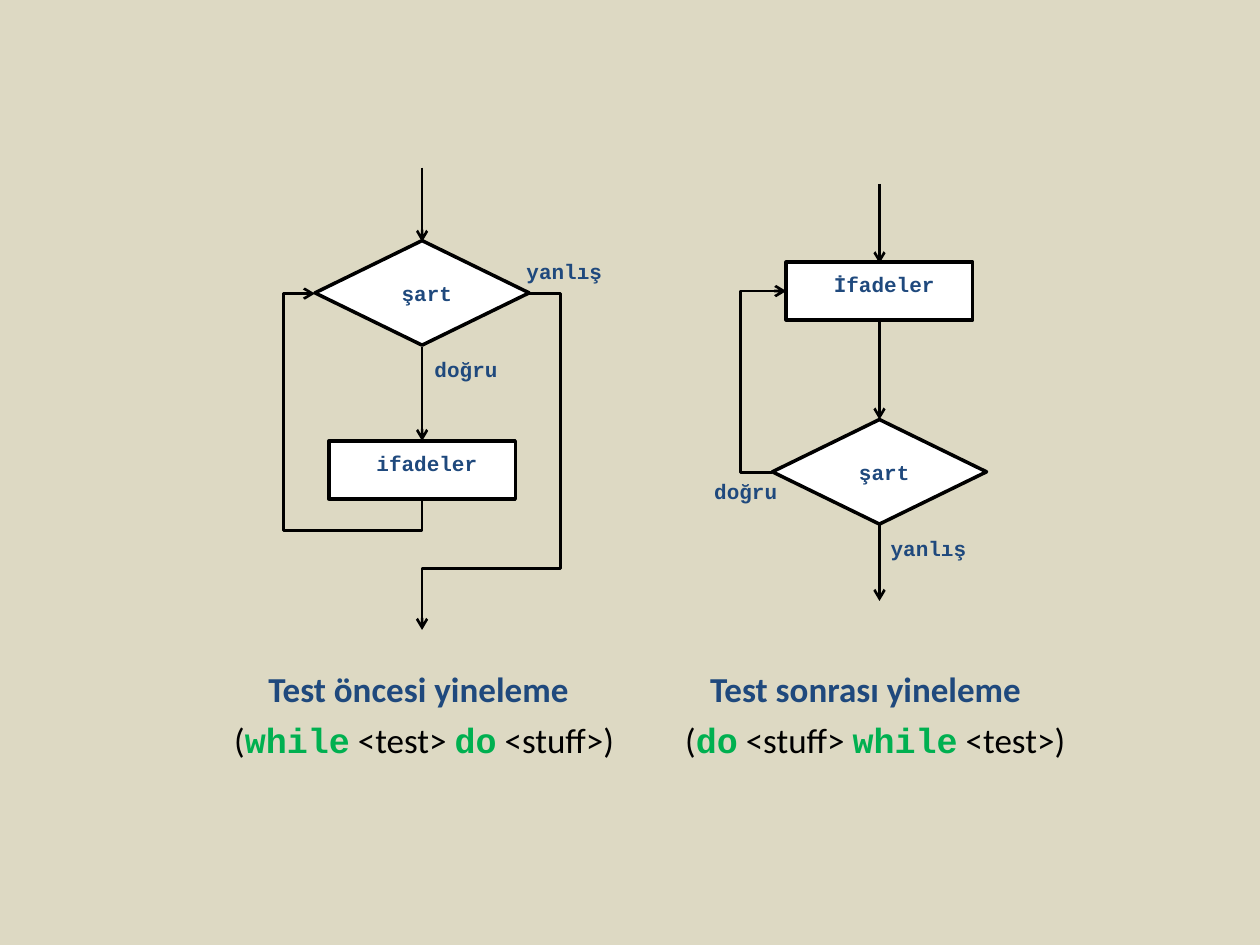
import pptx
import pptx.dml.color
import pptx.enum.shapes
import pptx.enum.text
import pptx.oxml
import pptx.oxml.ns
import pptx.util

Inches = pptx.util.Inches
Shape = pptx.enum.shapes.MSO_SHAPE
Connector = pptx.enum.shapes.MSO_CONNECTOR
Align = pptx.enum.text.PP_ALIGN

THEME = {
    "background": "DDD9C3", "box": "FFFFFF", "ink": "000000",
    "border": 2, "arrow": 1.5,
    "gap": {"name": "Courier New", "size": 9, "bold": True, "color": "1F497D"},
    "label": {"name": "Courier New", "size": 12, "bold": True, "color": "1F497D"},
    "heading": {"name": "Calibri", "size": 20, "bold": True, "color": "1F497D"},
    "plain": {"name": "Calibri", "size": 20, "bold": False, "color": "000000"},
    "keyword": {"name": "Courier New", "size": 20, "bold": True, "color": "00B050"},
}


def rgb(value):
    return pptx.dml.color.RGBColor.from_string(value)


def add_text(shapes, place, runs, align):
    """Add a one-line text box made of (text, theme style) runs."""
    frame = shapes.add_textbox(*map(Inches, place)).text_frame
    frame.word_wrap = True
    frame.auto_size = pptx.enum.text.MSO_AUTO_SIZE.SHAPE_TO_FIT_TEXT
    line = frame.paragraphs[0]
    line.alignment = align
    for text, style in runs:
        run = line.add_run()
        run.text = text
        formats = dict(THEME[style])
        run.font.color.rgb = rgb(formats.pop("color"))
        formats["size"] = pptx.util.Pt(formats["size"])
        for attribute, value in formats.items():
            setattr(run.font, attribute, value)


# Flowcharts: elbows give begin, end, rotation, preset and bend positions
flowcharts = [
    {
        "arrows": [(3.35, 1.33, 3.35, 1.92), (3.35, 2.75, 3.35, 3.5)],
        "elbows": [
            ((3.74, 2.72, 2.11, 3.57), 90, "bentConnector4", (-0.154, 1.294)),
            ((4.2, 2.33, 3.35, 5), 0, "bentConnector4", (-0.294, 0.817)),
        ],
        "statement": (2.61, 3.5, "ifadeler"),
        "condition": (2.5, 1.91),
        "branches": [(3.25, 2.78, 0.89, " doğru"), (4.08, 2, 0.84, "yanlış")],
    },
    {
        "arrows": [(6.98, 1.46, 6.98, 2.09), (6.98, 2.54, 6.98, 3.33),
                   (6.98, 4.17, 6.98, 4.77)],
        "elbows": [
            ((6.24, 2.31, 6.13, 3.75), 180, "bentConnector3", (-2.311,)),
        ],
        "statement": (6.24, 2.08, "İfadeler"),
        "condition": (6.13, 3.33),
        "branches": [(5.47, 3.75, 0.86, " doğru"), (6.97, 4.2, 0.92, "yanlış")],
    },
]

# Captions: left edges of heading and syntax line, then their runs
captions = [
    (1.75, " Test öncesi yineleme", 1.5,
     [("while", "keyword"), (" <test> ", "plain"),
      ("do", "keyword"), (" <stuff>)", "plain")]),
    (5.33, "Test sonrası yineleme", 5.08,
     [("do", "keyword"), (" <stuff> ", "plain"),
      ("while", "keyword"), (" <test>)", "plain")]),
]

deck = pptx.Presentation()
deck.slide_width, deck.slide_height = Inches(10), Inches(7.5)
slide = deck.slides.add_slide(deck.slide_layouts[6])
slide.background.fill.solid()
slide.background.fill.fore_color.rgb = rgb(THEME["background"])

for chart in flowcharts:
    shapes = slide.shapes.add_group_shape().shapes

    # Arrows, straight and bent
    straight = [(ends, 0, "line", ()) for ends in chart["arrows"]]
    for ends, rotation, preset, bends in straight + chart["elbows"]:
        kind = Connector.ELBOW if bends else Connector.STRAIGHT
        arrow = shapes.add_connector(kind, *map(Inches, ends))
        arrow.line.color.rgb = rgb(THEME["ink"])
        arrow.line.width = pptx.util.Pt(THEME["arrow"])
        properties = arrow._element.spPr
        if bends:
            properties.find(pptx.oxml.ns.qn("a:xfrm")).set("rot", str(rotation * 60000))
            geometry = properties.find(pptx.oxml.ns.qn("a:prstGeom"))
            geometry.set("prst", preset)
            guides = geometry.find(pptx.oxml.ns.qn("a:avLst"))
            for number, bend in enumerate(bends, 1):
                guide = pptx.oxml.parse_xml(f"<a:gd {pptx.oxml.ns.nsdecls('a')}/>")
                guide.set("name", f"adj{number}")
                guide.set("fmla", f"val {round(bend * 100000)}")
                guides.append(guide)
        arrow.line._get_or_add_ln().append(pptx.oxml.parse_xml(
            f"<a:tailEnd {pptx.oxml.ns.nsdecls('a')} type='arrow'/>"))
        properties.append(pptx.oxml.parse_xml(
            f"<a:effectLst {pptx.oxml.ns.nsdecls('a')}/>"))

    # Statement box and condition diamond
    left, top, statement = chart["statement"]
    x, y = chart["condition"]
    for outline, place in (
        (Shape.RECTANGLE, (left, top, 1.48, 0.46)),
        (Shape.FLOWCHART_DECISION, (x, y, 1.7, 0.83)),
    ):
        node = shapes.add_shape(outline, *map(Inches, place))
        node.shadow.inherit = False
        node.fill.solid()
        node.fill.fore_color.rgb = rgb(THEME["box"])
        node.line.color.rgb = rgb(THEME["ink"])
        node.line.width = pptx.util.Pt(THEME["border"])

    # Node and branch labels
    for place, word in (
        ((left - 0.11, top + 0.03, 1.7, 0.3), statement),
        ((x + 0.2, y + 0.27, 1.3, 0.3), "şart"),
    ):
        add_text(shapes, place, [(" ", "gap"), (word, "label")], Align.CENTER)
    for branch_left, branch_top, width, word in chart["branches"]:
        add_text(shapes, (branch_left, branch_top, width, 0.3),
                 [(word, "label")], Align.LEFT)

for heading_left, heading, syntax_left, syntax in captions:
    add_text(slide.shapes, (heading_left, 5.25, 3.08, 0.44),
             [(heading, "heading")], Align.CENTER)
    add_text(slide.shapes, (syntax_left, 5.65, 3.67, 0.44),
             [(" ", "heading"), ("(", "plain")] + syntax, Align.CENTER)

deck.save("out.pptx")
